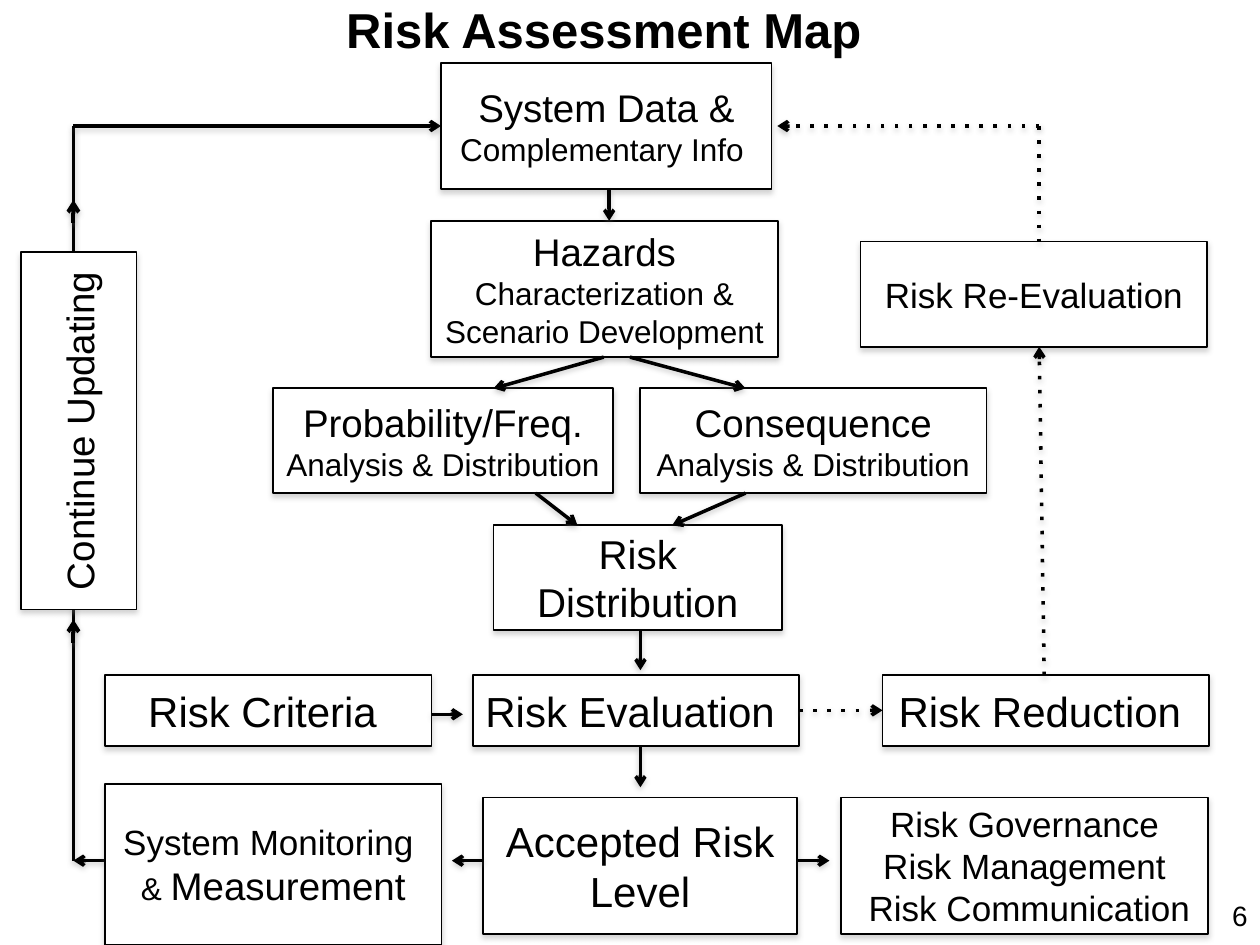
from dataclasses import dataclass

from lxml.etree import SubElement as Sub
from pptx import Presentation
from pptx.dml.color import RGBColor as Rgb
from pptx.enum.shapes import MSO_CONNECTOR as Link, MSO_SHAPE as Form
from pptx.enum.text import MSO_ANCHOR as Anchor, PP_ALIGN as Align
from pptx.oxml.ns import qn
from pptx.util import Cm, Pt

HEX = {"ink": "000000", "paper": "FFFFFF", "shade": "808080"}
FONT = "Arial"


@dataclass
class Box:
    x: float
    y: float
    w: float
    h: float

    def inner(self, x, y, w, h):
        return Box(self.x + x, self.y + y, w, h)

    def spot(self, x, y):
        return self.x + x, self.y + y

    def edges(self):
        return [Cm(v) for v in (self.x, self.y, self.w, self.h)]


def tint(name):
    return Rgb.from_string(HEX[name])


def shade(props, alpha, gap):
    """Put a soft shadow straight below a shape or line."""
    effects = props.find(qn("a:effectLst"))
    if effects is None:
        effects = Sub(props, qn("a:effectLst"))
    outer = Sub(effects, qn("a:outerShdw"), blurRad=str(Pt(3.1)),
                dist=str(Pt(gap)), dir="5400000", rotWithShape="0")
    color = Sub(outer, qn("a:srgbClr"), val=HEX["shade"])
    Sub(color, qn("a:alpha"), val=str(alpha * 1000))


def write(frame, paras, align, bold=False):
    """Each paragraph is a list of (text, size) runs; None breaks the line."""
    for i, runs in enumerate(paras):
        para = frame.paragraphs[0] if i == 0 else frame.add_paragraph()
        para.alignment = align
        for item in runs:
            if item is None:
                para.add_line_break()
                continue
            run = para.add_run()
            run.text, size = item
            run.font.size = Pt(size)
            run.font.name = FONT
            run.font.bold = bold
            run.font.color.rgb = tint("ink")


def card(slide, box, *paras, turn=0, width=1):
    shape = slide.shapes.add_shape(Form.RECTANGLE, *box.edges())
    shape.rotation = turn
    shape.fill.solid()
    shape.fill.fore_color.rgb = tint("paper")
    shape.line.color.rgb = tint("ink")
    shape.line.width = Pt(width)
    shape.shadow.inherit = False
    shade(shape.element.spPr, 35, 1.8)
    frame = shape.text_frame
    frame.word_wrap = True
    frame.vertical_anchor = Anchor.MIDDLE
    write(frame, paras, Align.CENTER)


def link(slide, start, end, dots=False, head=True, width=2):
    ends = [Cm(v) for v in (*start, *end)]
    line = slide.shapes.add_connector(Link.STRAIGHT, *ends)
    line.line.color.rgb = tint("ink")
    line.line.width = Pt(width)
    props = line.element.spPr
    stroke = props.find(qn("a:ln"))
    if dots:
        Sub(stroke, qn("a:prstDash"), val="dot")
    if head:
        Sub(stroke, qn("a:tailEnd"), type="arrow")
    shade(props, 38, 1.6)


def label(slide, box, text, size, align, bold=False, wrap=True):
    frame = slide.shapes.add_textbox(*box.edges()).text_frame
    frame.word_wrap = wrap
    write(frame, [[(text, size)]], align, bold)


def update(slide, box):
    """Left loop back to the system data."""
    link(slide, box.spot(0, 0), box.spot(0, box.h), head=False)
    link(slide, box.spot(0, 0), box.spot(box.w, 0))
    link(slide, box.spot(0.64, box.h), box.spot(0, box.h))
    card(slide, box.inner(-3.49, 4.98, 7.2, 2.33),
         [("Continue Updating", 22)], turn=270)
    for y in (1.96, 10.42):
        link(slide, box.spot(0, y), box.spot(0, y - 0.47), width=2.25)


def flow(slide, box):
    """Analysis steps from the data to the risk distribution."""
    card(slide, box.inner(3.39, 0, 6.67, 2.54),
         [("System Data & ", 22), ("Complementary Info ", 18)], width=0.75)
    card(slide, box.inner(3.19, 3.18, 6.99, 2.75),
         [("Hazards ", 22), ("Characterization &", 18)],
         [("Scenario Development", 18)])
    card(slide, box.inner(0, 6.56, 6.86, 2.11),
         [("Probability/Freq. ", 22), ("Analysis & Distribution ", 18)])
    card(slide, box.inner(7.4, 6.56, 6.99, 2.11),
         [("Consequence ", 22), ("Analysis & Distribution", 18)])
    card(slide, box.inner(4.45, 9.32, 5.82, 2.11), [("Risk Distribution", 23)])
    for x1, y1, x2, y2 in ((6.78, 2.54, 6.78, 3.18),
                           (6.67, 5.93, 4.45, 6.56), (7.2, 5.93, 9.53, 6.56),
                           (5.3, 8.67, 6.14, 9.32), (9.53, 8.67, 8.05, 9.32),
                           (7.41, 11.43, 7.41, 12.24)):
        link(slide, box.spot(x1, y1), box.spot(x2, y2))


def judge(slide, box):
    """Evaluation row and the outcome row below it."""
    for x, text in ((0, "Risk Criteria "), (7.41, "Risk Evaluation "),
                    (15.67, "Risk Reduction ")):
        card(slide, box.inner(x, 0, 6.58, 1.43), [(text, 24)])
    card(slide, box.inner(0, 2.19, 6.78, 3.25),
         [("System Monitoring ", 20), None, ("& ", 18), ("Measurement", 22)])
    card(slide, box.inner(7.62, 2.47, 6.33, 2.75),
         [("Accepted Risk Level", 24)])
    card(slide, box.inner(14.83, 2.47, 7.41, 2.75),
         *[[(text, 20)] for text in ("Risk Governance", "Risk Management",
                                     " Risk Communication")])
    for x1, y1, x2, y2 in ((6.58, 0.79, 7.21, 0.79), (10.79, 1.45, 10.79, 2.26),
                           (7.62, 3.74, 6.99, 3.74), (13.97, 3.74, 14.6, 3.74)):
        link(slide, box.spot(x1, y1), box.spot(x2, y2))
    link(slide, box.spot(13.99, 0.71), box.spot(15.67, 0.71), dots=True)


def review(slide, box):
    """Dotted loop on the right, from reduction back to the data."""
    card(slide, box.inner(1.68, 2.33, 6.99, 2.12), [("Risk Re-Evaluation", 20)])
    link(slide, box.spot(5.28, 0), box.spot(0, 0), dots=True)
    link(slide, box.spot(5.28, 0), box.spot(5.28, 2.33), dots=True, head=False)
    link(slide, box.spot(5.38, box.h), box.spot(5.28, 4.45), dots=True)


def main():
    deck = Presentation()
    deck.slide_width, deck.slide_height = Cm(25.4), Cm(19.05)
    slide = deck.slides.add_slide(deck.slide_layouts[6])
    label(slide, Box(6.73, -0.13, 11.25, 1.45), "Risk Assessment Map", 28,
          Align.LEFT, bold=True, wrap=False)
    update(slide, Box(1.48, 2.54, 7.41, 14.81))
    flow(slide, Box(5.5, 1.27, 14.39, 12.24))
    judge(slide, Box(2.12, 13.61, 22.24, 5.44))
    review(slide, Box(15.67, 2.54, 8.67, 11.07))
    label(slide, Box(23.29, 17.98, 2.11, 1.07), "6", 16, Align.RIGHT)
    deck.save("out.pptx")


if __name__ == "__main__":
    main()
